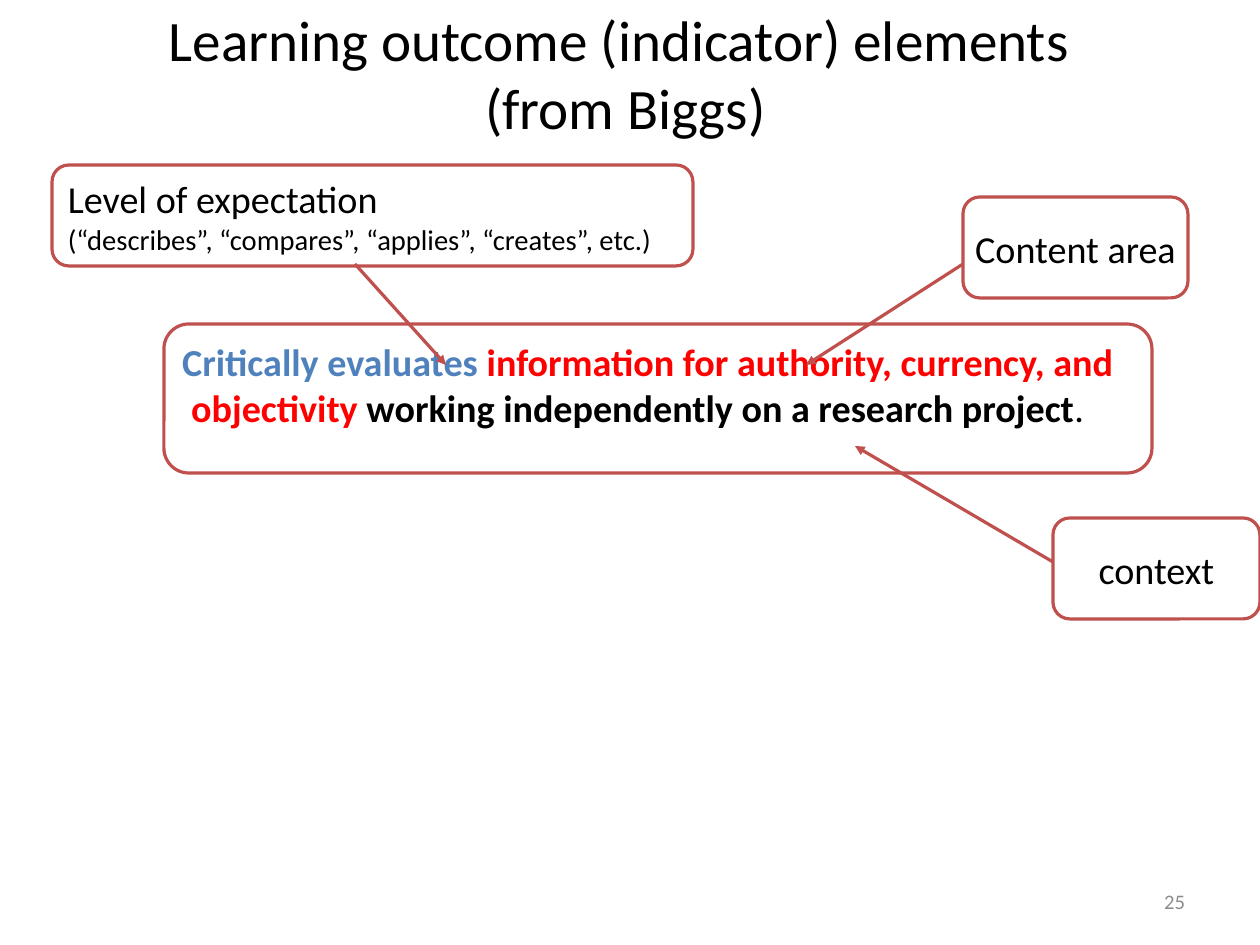
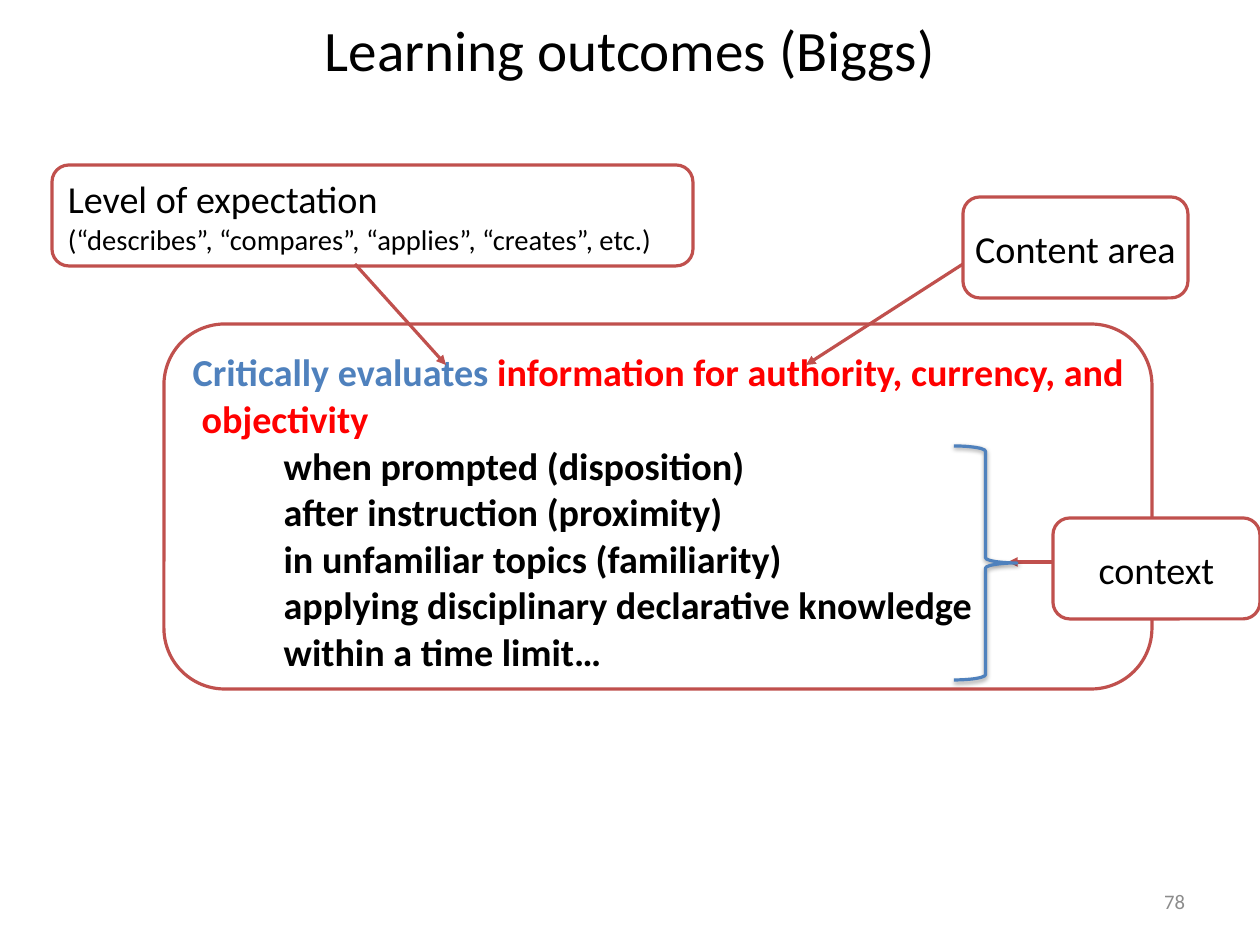
from dataclasses import dataclass

import lxml.etree
import pptx
import pptx.dml.color
import pptx.enum.shapes
import pptx.enum.text
import pptx.oxml.ns
import pptx.slide
import pptx.util

PX = 8000  # EMU in one px
ALIGN = pptx.enum.text.PP_ALIGN
ANCHOR = pptx.enum.text.MSO_ANCHOR
SHAPE = pptx.enum.shapes.MSO_SHAPE


@dataclass(frozen=True)
class Theme:
    font: str = "Calibri"
    black: str = "000000"
    white: str = "FFFFFF"
    grey: str = "8C8C8C"
    blue: str = "4F81BD"
    red: str = "FF0000"
    outline: str = "C0504D"
    title: int = 36
    body: int = 24
    small: int = 18
    number: int = 13
    line: int = 2
    spacing: float = 1.02


THEME = Theme()


@dataclass(frozen=True)
class Box:
    x: int
    y: int
    w: int
    h: int


@dataclass(frozen=True)
class Run:
    text: str
    color: str = THEME.black
    size: int = THEME.body
    bold: bool = False


@dataclass(frozen=True)
class Para:
    runs: tuple[Run, ...]
    indent: int = 0


@dataclass(frozen=True)
class Callout:
    box: Box
    paras: tuple[Para, ...]
    centred: bool = True


@dataclass(frozen=True)
class Arrow:
    x1: int
    y1: int
    x2: int
    y2: int


@dataclass(frozen=True)
class OutcomeSlide:
    title: str
    title_box: Box
    number: str
    outcome_box: Box
    outcome: tuple[Para, ...]
    context_arrow: Arrow
    brace: Box | None = None


def bold(text: str, color: str = THEME.black) -> Run:
    return Run(text, color, bold=True)


CALLOUTS = (
    Callout(Box(963, 197, 225, 101), (Para((Run("Content area"),)),)),
    Callout(
        Box(52, 165, 641, 101),
        (
            Para((Run("Level of expectation"),)),
            Para((Run("(“describes”, “compares”, “applies”, “creates”, etc.)", size=THEME.small),)),
        ),
        centred=False,
    ),
    Callout(Box(1053, 518, 207, 101), (Para((Run("context"),)),)),
)
ARROWS = (Arrow(355, 264, 446, 365), Arrow(963, 264, 806, 365))

FIRST_LINE = Para((
    bold("Critically evaluates ", THEME.blue),
    bold("information for authority, currency, and", THEME.red),
))
WORD_INDENT, CONTEXT_INDENT = 9, 91
CONTEXTS = (
    "when prompted (disposition)",
    "after instruction (proximity)",
    "in unfamiliar topics (familiarity)",
    "applying disciplinary declarative knowledge",
    "within a time limit…",
)

SLIDES = (
    OutcomeSlide(
        title="Learning outcome (indicator) elements \n(from Biggs)",
        title_box=Box(63, 14, 1125, 117),
        number="25",
        outcome_box=Box(164, 324, 988, 149),
        outcome=(
            FIRST_LINE,
            Para((
                bold("objectivity ", THEME.red),
                bold("working independently on a research project"),
                Run("."),
            ), WORD_INDENT),
        ),
        context_arrow=Arrow(1053, 562, 855, 446),
    ),
    OutcomeSlide(
        title="Learning outcomes (Biggs)",
        title_box=Box(63, 14, 1134, 70),
        number="78",
        outcome_box=Box(164, 324, 988, 365),
        outcome=(
            FIRST_LINE,
            Para((bold("objectivity", THEME.red),), WORD_INDENT),
            *(Para((bold(text),), CONTEXT_INDENT) for text in CONTEXTS),
        ),
        context_arrow=Arrow(1053, 562, 1008, 562),
        brace=Box(954, 446, 63, 234),
    ),
)


def rgb(color: str) -> pptx.dml.color.RGBColor:
    return pptx.dml.color.RGBColor.from_string(color)


def emu(box: Box) -> tuple[int, ...]:
    return tuple(v * PX for v in (box.x, box.y, box.w, box.h))


def write(sp, paras: tuple[Para, ...], *, align=ALIGN.LEFT, anchor=ANCHOR.MIDDLE,
          spacing: float = 1.0, insets: tuple[int, int, int, int] = (12, 7, 12, 7)) -> None:
    """Fill a shape with text; insets are left, top, right and bottom."""
    tf = sp.text_frame
    tf.word_wrap = True
    tf.vertical_anchor = anchor
    tf.margin_left, tf.margin_top, tf.margin_right, tf.margin_bottom = (v * PX for v in insets)
    for i, para in enumerate(paras):
        p = tf.add_paragraph() if i else tf.paragraphs[0]
        p.alignment = align
        p.line_spacing = spacing
        if para.indent:
            p._p.get_or_add_pPr().set("marL", str(para.indent * PX))
        for run in para.runs:
            for j, line in enumerate(run.text.split("\n")):
                if j:
                    p.add_line_break()
                r = p.add_run()
                r.text = line
                r.font.name = THEME.font
                r.font.size = pptx.util.Pt(run.size)
                r.font.bold = run.bold
                r.font.color.rgb = rgb(run.color)


def add_text(s: pptx.slide.Slide, box: Box, run: Run, align) -> None:
    write(s.shapes.add_textbox(*emu(box)), (Para((run,)),), align=align)


def set_line(sp, color: str) -> None:
    sp.line.color.rgb = rgb(color)
    sp.line.width = pptx.util.Pt(THEME.line)


def add_rounded(s: pptx.slide.Slide, box: Box, paras: tuple[Para, ...], **text_format) -> None:
    sp = s.shapes.add_shape(SHAPE.ROUNDED_RECTANGLE, *emu(box))
    sp.shadow.inherit = False
    sp.fill.solid()
    sp.fill.fore_color.rgb = rgb(THEME.white)
    set_line(sp, THEME.outline)
    write(sp, paras, spacing=THEME.spacing, **text_format)


def add_callout(s: pptx.slide.Slide, callout: Callout) -> None:
    if callout.centred:
        add_rounded(s, callout.box, callout.paras, align=ALIGN.CENTER, insets=(0, 6, 0, 6))
    else:
        add_rounded(s, callout.box, callout.paras, insets=(11, 6, 0, 6))


def add_child(parent, tag: str, **attributes: str):
    return lxml.etree.SubElement(parent, pptx.oxml.ns.qn(tag), attributes)


def add_arrow(s: pptx.slide.Slide, arrow: Arrow) -> None:
    ends = (v * PX for v in (arrow.x1, arrow.y1, arrow.x2, arrow.y2))
    cxn = s.shapes.add_connector(pptx.enum.shapes.MSO_CONNECTOR.STRAIGHT, *ends)
    set_line(cxn, THEME.outline)
    add_child(cxn.line._get_or_add_ln(), "a:tailEnd", type="triangle")
    add_child(cxn._element.spPr, "a:effectLst")


def add_brace(s: pptx.slide.Slide, box: Box) -> None:
    """Draw a right brace with a soft shadow below it."""
    sp = s.shapes.add_shape(SHAPE.RIGHT_BRACE, *emu(box))
    sp.fill.background()
    set_line(sp, THEME.blue)
    effects = add_child(sp._element.spPr, "a:effectLst")
    shadow = add_child(effects, "a:outerShdw", blurRad=str(pptx.util.Pt(3.1)),
                       dist=str(pptx.util.Pt(1.6)), dir="5400000", rotWithShape="0")
    color = add_child(shadow, "a:srgbClr", val=THEME.black)
    add_child(color, "a:alpha", val="38000")


def build_slide(prs, content: OutcomeSlide) -> None:
    s = prs.slides.add_slide(prs.slide_layouts[6])
    add_text(s, content.title_box, Run(content.title, size=THEME.title), ALIGN.CENTER)
    add_text(s, Box(903, 876, 294, 50), Run(content.number, THEME.grey, THEME.number), ALIGN.RIGHT)
    add_rounded(s, content.outcome_box, content.outcome, anchor=ANCHOR.TOP, insets=(11, 6, 0, 6))
    for callout in CALLOUTS:
        add_callout(s, callout)
    for arrow in (*ARROWS, content.context_arrow):
        add_arrow(s, arrow)
    if content.brace:
        add_brace(s, content.brace)


def main() -> None:
    prs = pptx.Presentation()
    prs.slide_width, prs.slide_height = 1260 * PX, 945 * PX
    for content in SLIDES:
        build_slide(prs, content)
    prs.save("out.pptx")


if __name__ == "__main__":
    main()
